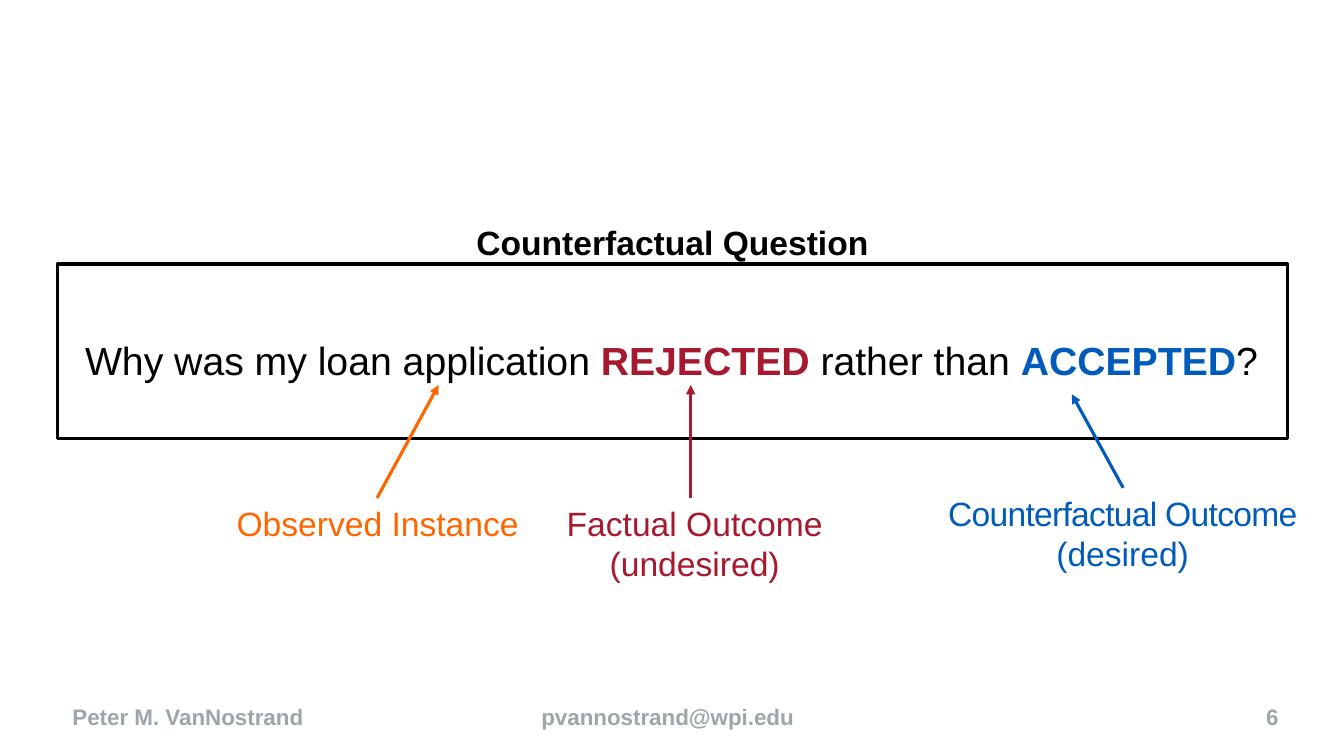
from dataclasses import dataclass

from lxml.etree import SubElement
from pptx import Presentation
from pptx.dml.color import RGBColor
from pptx.enum.shapes import MSO_CONNECTOR as Link, MSO_SHAPE as Shape
from pptx.enum.text import MSO_ANCHOR as Anchor, MSO_AUTO_SIZE as Fit, PP_ALIGN as Align
from pptx.oxml.ns import qn
from pptx.util import Pt

PX = 9144  # EMU per px, 100 px to the inch
FONT = "Arial"
BLACK, GREY = "000000", "9DA6AB"
ORANGE, RED, BLUE = "FF6600", "A6192E", "005BBB"
LINE = 2.25


@dataclass
class Label:
    box: tuple[int, int, int, int]
    text: str
    color: str
    size: int = 24
    bold: bool = False
    align: Align = Align.CENTER
    anchor: Anchor = Anchor.TOP
    squeeze: int = 0  # tightening of the first line, in 1/100 pt


@dataclass
class Arrow:
    start: tuple[int, int]
    end: tuple[int, int]
    color: str


def footer(left: int, width: int, text: str, align: Align = Align.LEFT) -> Label:
    return Label((left, 691, width, 40), text, GREY, 16, True, align, Anchor.MIDDLE)


LABELS = [
    footer(62, 278, "Peter M. VanNostrand"),
    footer(527, 278, "pvannostrand@wpi.edu"),
    footer(1228, 50, "6", Align.RIGHT),
    Label((112, 215, 1110, 50), "Counterfactual Question", BLACK, bold=True),
    Label((221, 494, 307, 50), "Observed Instance", ORANGE),
    Label((547, 494, 284, 91), "Factual Outcome\n(undesired)", RED),
    Label((928, 484, 371, 91), "Counterfactual Outcome\n(desired)", BLUE, squeeze=-50),
]
ARROWS = [
    Arrow((374, 494), (435, 382), ORANGE),
    Arrow((685, 494), (685, 382), RED),
    Arrow((1114, 484), (1063, 391), BLUE),
]
QUESTION = [
    ("Why was my loan application ", BLACK, False),
    ("REJECTED ", RED, True),
    ("rather than ", BLACK, False),
    ("ACCEPTED", BLUE, True),
    ("?", BLACK, False),
]


def emu(*px: int) -> list[int]:
    return [n * PX for n in px]


def rgb(code: str) -> RGBColor:
    return RGBColor.from_string(code)


def style(run, size: int, color: str, bold: bool) -> None:
    font = run.font
    font.name, font.size, font.bold = FONT, Pt(size), bold
    font.color.rgb = rgb(color)


def add_label(slide, label: Label) -> None:
    frame = slide.shapes.add_textbox(*emu(*label.box)).text_frame
    frame.word_wrap = True
    frame.vertical_anchor = label.anchor
    frame.text = label.text
    for para in frame.paragraphs:
        para.alignment = label.align
        for run in para.runs:
            style(run, label.size, label.color, label.bold)
    if label.squeeze:
        first = frame.paragraphs[0].runs[0]
        first.font._element.set("spc", str(label.squeeze))


def add_arrow(slide, arrow: Arrow) -> None:
    link = slide.shapes.add_connector(Link.STRAIGHT, *emu(*arrow.start, *arrow.end))
    link.line.color.rgb = rgb(arrow.color)
    link.line.width = Pt(LINE)
    SubElement(link.line._get_or_add_ln(), qn("a:tailEnd"), type="triangle")
    SubElement(link._element.spPr, qn("a:effectLst"))


def fill_body(body) -> None:
    """Write the question, with its two outcomes in colour."""
    body.left, body.top, body.width, body.height = emu(71, 275, 1190, 149)
    frame = body.text_frame
    frame.auto_size = Fit.NONE
    frame.word_wrap = True
    frame.vertical_anchor = Anchor.MIDDLE
    para = frame.paragraphs[0]
    para.alignment = Align.CENTER
    para.line_spacing = 1.3
    para.space_before = Pt(6)
    props = para._p.get_or_add_pPr()
    props.set("marL", "0")
    props.set("indent", "0")
    SubElement(props, qn("a:buNone"))
    for text, color, bold in QUESTION:
        run = para.add_run()
        run.text = text
        style(run, 28, color, bold)


def add_frame(slide) -> None:
    box = slide.shapes.add_shape(Shape.RECTANGLE, *emu(57, 262, 1220, 173))
    box.shadow.inherit = False
    box.fill.background()
    box.line.color.rgb = rgb(BLACK)
    box.line.width = Pt(LINE)


def main() -> None:
    deck = Presentation()
    deck.slide_width, deck.slide_height = emu(1333, 750)
    slide = deck.slides.add_slide(deck.slide_layouts[1])
    title = slide.shapes.title._element
    title.getparent().remove(title)
    fill_body(slide.placeholders[1])
    add_frame(slide)
    for arrow in ARROWS:
        add_arrow(slide, arrow)
    for label in LABELS:
        add_label(slide, label)
    deck.save("out.pptx")


if __name__ == "__main__":
    main()
